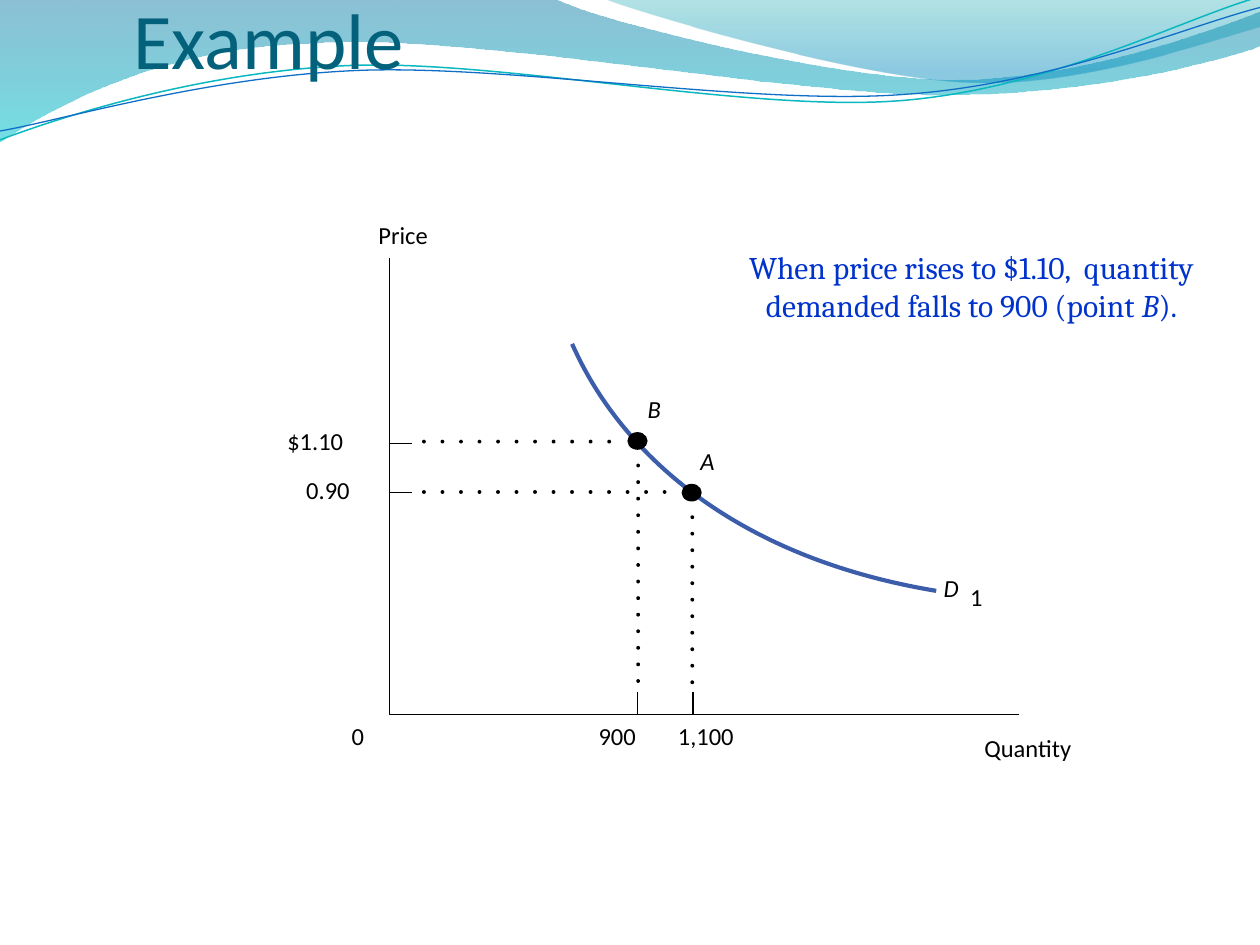
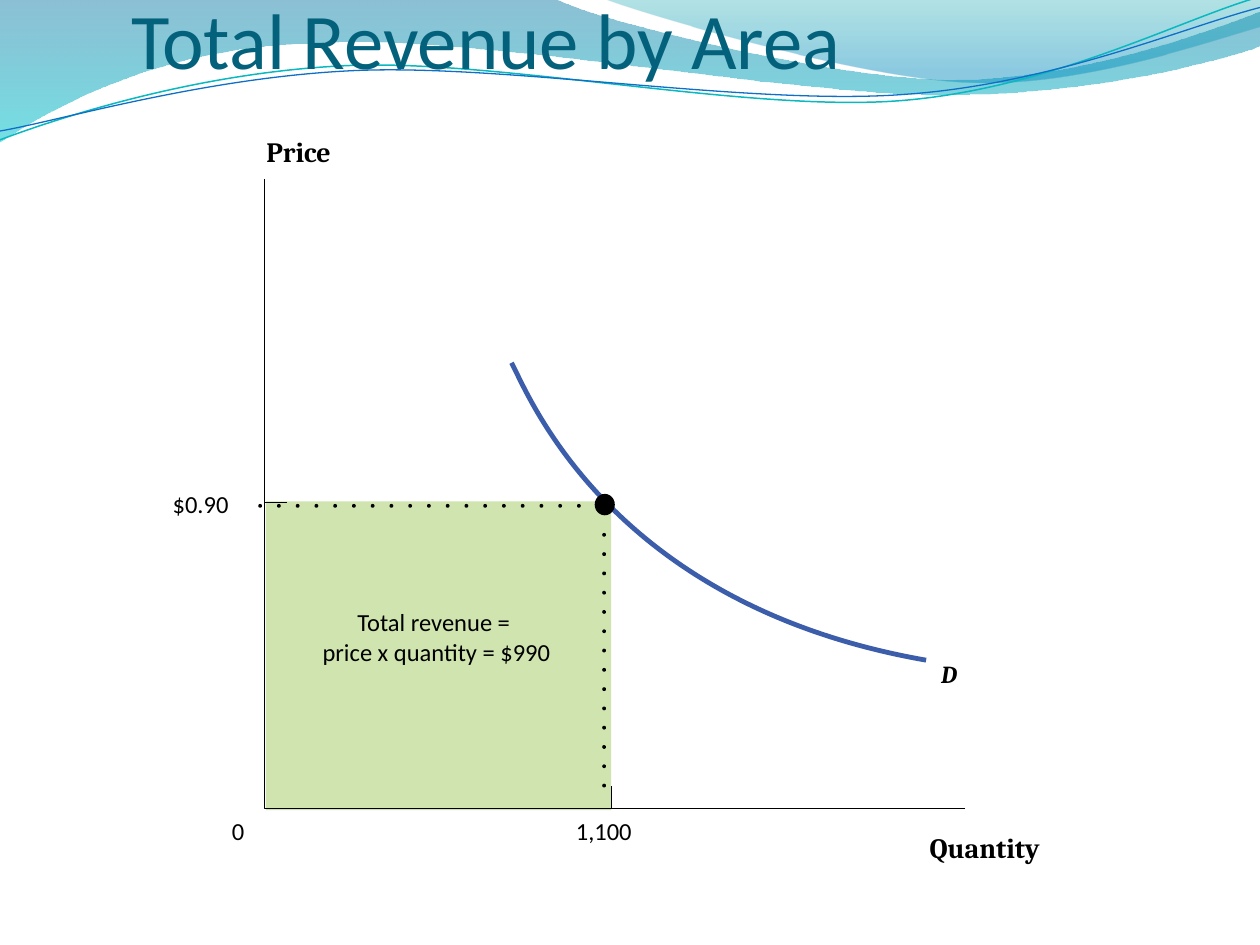
from math import cos, radians, sin

from lxml import etree
from pptx import Presentation
from pptx.dml.color import RGBColor
from pptx.enum.shapes import MSO_CONNECTOR, MSO_SHAPE
from pptx.enum.text import MSO_ANCHOR, MSO_AUTO_SIZE, PP_ALIGN
from pptx.oxml.ns import qn
from pptx.util import Inches, Pt

STRAIGHT = MSO_CONNECTOR.STRAIGHT
OVAL, RECT = MSO_SHAPE.OVAL, MSO_SHAPE.RECTANGLE
LEFT, CENTER = PP_ALIGN.LEFT, PP_ALIGN.CENTER
BOTTOM = MSO_ANCHOR.BOTTOM
NO_FIT, GROW = MSO_AUTO_SIZE.NONE, MSO_AUTO_SIZE.SHAPE_TO_FIT_TEXT

COLORS = {
    "title": "04617B",
    "ink": "000000",
    "demand": "3C5DAA",
    "note": "0033CC",
    "revenue": "CFE4AE",
    "teal_line": "0AB8BF",
    "blue_line": "0F6FC6",
    "band_blue": "0074A1",
    "band_aqua": "00C6CF",
    "crest_teal": "00A1A9",
    "crest_blue": "008BBF",
}
SANS, SERIF = "Calibri", "Cambria"
DOT = 0.03
AXIS_WIDTH = 0.63
WAVE_TILT = 2.7

BANDS = [
    ((0, 0),
     [("L", [(4.4, -0.01)]),
      ("C", [(4.76, 0.17), (6.64, 0.63), (7.58, 0.63),
             (8.53, 0.63), (9.58, 0.26), (10, 0.09)]),
      ("L", [(10.01, 0.36)]),
      ("C", [(9.83, 0.44), (8.7, 0.76), (7.46, 0.75),
             (6.22, 0.75), (3.82, 0.28), (2.57, 0.34),
             (1.29, 0.36), (0.46, 0.83), (-0.01, 1.13)]),
      ("L", [(0, 0)])],
     [(0, "band_blue", 45), (1, "band_aqua", 55)]),
    ((4.79, -0.01),
     [("C", [(5.09, 0.11), (6.82, 0.62), (7.69, 0.65),
             (8.56, 0.69), (9.61, 0.32), (10, 0.21)]),
      ("L", [(10, 0), (4.79, -0.01)])],
     [(0, "crest_teal", 30), (0.8, "crest_blue", 45)]),
]
WAVES = [
    ([(0, 1.11), (0.48, 0.93), (1.58, 0.57), (2.77, 0.52),
      (3.95, 0.47), (5.93, 0.89), (7.13, 0.8),
      (8.33, 0.71), (9.38, 0.15), (9.98, -0.02)], (4.99, 0.57), "teal_line", 0.85),
    ([(0, 1.04), (0.47, 0.96), (1.64, 0.61), (2.83, 0.56),
      (4.03, 0.51), (5.97, 0.84), (7.17, 0.75),
      (8.36, 0.67), (9.41, 0.21), (10, 0.06)], (5, 0.59), "blue_line", 0.75),
]


def rgb(name):
    return RGBColor.from_string(COLORS[name])


def add_path(shapes, start, segments, close=False):
    points = [pt for _, pts in segments for pt in pts]
    builder = shapes.build_freeform(Inches(start[0]), Inches(start[1]))
    builder.add_line_segments([(Inches(x), Inches(y)) for x, y in points], close=close)
    sp = builder.convert_to_shape()
    sp.shadow.inherit = False
    steps = list(sp.element.iter(qn("a:lnTo")))
    for kind, pts in segments:
        run, steps = steps[:len(pts)], steps[len(pts):]
        if kind == "C":
            for i in range(0, len(run), 3):
                curve = etree.Element(qn("a:cubicBezTo"))
                run[i].addprevious(curve)
                for step in run[i:i + 3]:
                    curve.append(step[0])
                    step.getparent().remove(step)
    return sp


def add_outline(shapes, kind, points, color, width):
    sp = add_path(shapes, points[0], [(kind, points[1:])])
    sp.fill.background()
    sp.line.color.rgb = rgb(color)
    sp.line.width = Pt(width)
    return sp


def add_band(shapes, start, segments, stops):
    sp = add_path(shapes, start, segments, close=True)
    sp.line.fill.background()
    sp.fill.gradient()
    sp.fill.gradient_angle = 270
    for stop, (position, color, _) in zip(sp.fill.gradient_stops, stops):
        stop.position = position
        stop.color.rgb = rgb(color)
    for clr, (_, _, alpha) in zip(sp.element.spPr.iter(qn("a:srgbClr")), stops):
        etree.SubElement(clr, qn("a:alpha")).set("val", str(alpha * 1000))
    return sp


def add_wave(shapes, points, center, color, width):
    cx, cy = center
    c, s = cos(radians(WAVE_TILT)), sin(radians(WAVE_TILT))
    level = [(cx + (x - cx) * c - (y - cy) * s, cy + (x - cx) * s + (y - cy) * c)
             for x, y in points]
    sp = add_outline(shapes, "C", level, color, width)
    sp.rotation = 360 - WAVE_TILT
    return sp


def decorate_layout(layout, slide):
    parts = [add_band(slide.shapes, *band) for band in BANDS]
    parts += [add_wave(slide.shapes, *wave) for wave in WAVES]
    for i, sp in enumerate(parts):
        next(sp.element.iter(qn("p:cNvPr"))).set("id", str(20 + i))
        layout.shapes.element.insert(2 + i, sp.element)


def add_run(p, text, size, font=SANS, color="ink", bold=False, italic=False):
    r = p.add_run()
    r.text = text
    r.font.size = Pt(size)
    r.font.name = font
    r.font.bold = bold
    r.font.italic = italic
    r.font.color.rgb = rgb(color)


def set_title(slide, text, left, width):
    title = slide.shapes.title
    title.left, title.top = Inches(left), Inches(0.07)
    title.width, title.height = Inches(width), Inches(0.61)
    tf = title.text_frame
    tf.auto_size = NO_FIT
    tf.vertical_anchor = BOTTOM
    tf.margin_left = tf.margin_right = tf.margin_bottom = 0
    tf.margin_top = Inches(0.05)
    p = tf.paragraphs[0]
    p.alignment = LEFT
    add_run(p, text, 45, color="title")


def add_note(slide, box):
    tb = slide.shapes.add_textbox(*map(Inches, box))
    tf = tb.text_frame
    tf.word_wrap = True
    tf.auto_size = GROW
    p = tf.paragraphs[0]
    p.alignment = CENTER
    parts = [("When price rises to $1.10,  quantity demanded falls to 900 (point ", False),
             ("B", True), (").", False)]
    for text, italic in parts:
        add_run(p, text, 18, SERIF, "note", italic=italic)


class Plot:
    def __init__(self, slide, box):
        self.slide = slide
        self.left, self.top, self.width, self.height = box
        self.start_group()

    def start_group(self):
        self.shapes = self.slide.shapes.add_group_shape().shapes

    def at(self, x, y):
        return self.left + x, self.top + y

    def label(self, lines, x, y, w, h=0.24, size=14, wrap=False, **style):
        tb = self.shapes.add_textbox(*map(Inches, (*self.at(x, y), w, h)))
        tf = tb.text_frame
        tf.word_wrap = wrap
        tf.auto_size = GROW
        tf.margin_left = tf.margin_top = tf.margin_right = tf.margin_bottom = 0
        p = tf.paragraphs[0]
        p.alignment = CENTER if wrap else LEFT
        for i, line in enumerate(lines.split("\n")):
            if i:
                p.add_line_break()
            add_run(p, line, size, **style)

    def solid(self, kind, x, y, w, h, color="ink"):
        sp = self.shapes.add_shape(kind, *map(Inches, (*self.at(x, y), w, h)))
        sp.shadow.inherit = False
        sp.fill.solid()
        sp.fill.fore_color.rgb = rgb(color)
        sp.line.fill.background()

    def line(self, x1, y1, x2, y2):
        ends = map(Inches, (*self.at(x1, y1), *self.at(x2, y2)))
        c = self.shapes.add_connector(STRAIGHT, *ends)
        c.line.color.rgb = rgb("ink")
        c.line.width = Pt(AXIS_WIDTH)
        etree.SubElement(c.element.spPr, qn("a:effectLst"))

    def axes(self, prices, quantities, tick):
        for y in prices:
            self.line(0, y, tick, y)
        for x in quantities:
            self.line(x, self.height - tick, x, self.height)
        corners = [(self.width, self.height), (0, self.height), (0, 0)]
        add_outline(self.shapes, "L", [self.at(*c) for c in corners], "ink", AXIS_WIDTH)

    def demand(self, points, width):
        add_outline(self.shapes, "C", [self.at(*pt) for pt in points], "demand", width)

    def guides(self, row, column, marker):
        y, first, last, count = row
        for i in range(count):
            self.solid(OVAL, first + i * (last - first) / (count - 1), y, DOT, DOT)
        x, first, last, count = column
        for i in range(count):
            self.solid(OVAL, x, first + i * (last - first) / (count - 1), DOT, DOT)
        self.solid(OVAL, *marker)


def draw_price_rise(slide, box):
    plot = Plot(slide, box)
    plot.demand([(1.45, 0.68), (1.55, 0.89), (2.12, 2.27), (4.34, 2.64)], 2.38)
    plot.label("D", 4.4, 2.5, 0.14, italic=True)
    plot.label("1", 4.59, 2.57, 0.14, wrap=True)
    plot.start_group()
    for text, x, y, w in [("900", 1.66, 3.67, 0.32), ("1,100", 2.29, 3.67, 0.48),
                          ("0", -0.3, 3.67, 0.11), ("$1.10", -0.81, 1.33, 0.48),
                          ("0.90", -0.66, 1.72, 0.38)]:
        plot.label(text, x, y, w, 0.19)
    plot.axes([1.47, 1.86], [2.41, 1.97], 0.18)
    plot.label("Price", -0.92, -0.3, 2.06, wrap=True)
    plot.label("Quantity ", 4.02, 3.77, 2.14, wrap=True)
    plot.start_group()
    plot.label("A", 2.47, 1.49, 0.13, italic=True)
    plot.guides((1.84, 0.26, 2.17, 14), (2.39, 2.04, 3.35, 11), (2.32, 1.79, 0.16, 0.14))
    plot.start_group()
    plot.label("B", 2.05, 1.08, 0.13, italic=True)
    plot.guides((1.44, 0.26, 1.73, 11), (1.96, 1.63, 3.34, 14), (1.89, 1.38, 0.16, 0.14))


def draw_revenue_area(slide, box):
    plot = Plot(slide, box)
    plot.demand([(1.96, 1.46), (2.09, 1.7), (2.73, 3.38), (5.25, 3.82)], 2.75)
    plot.label("D", 5.37, 3.81, 0.13, font=SERIF, bold=True, italic=True)
    plot.start_group()
    plot.solid(RECT, 0.01, 2.56, 2.74, 2.45, "revenue")
    plot.label("Total revenue = \nprice x quantity = $990", 0.25, 3.4, 2.23, 0.47, wrap=True)
    plot.start_group()
    plot.axes([2.57], [2.75], 0.18)
    for text, x, y, w in [("1,100", 2.47, 5.06, 0.48), ("0", -0.26, 5.06, 0.11),
                          ("$0.90", -0.73, 2.46, 0.48)]:
        plot.label(text, x, y, w, 0.21)
    for text, x, y, w in [("Price ", -0.87, -0.35, 2.33), ("Quantity ", 4.17, 5.17, 3.14)]:
        plot.label(text, x, y, w, 0.27, size=16, wrap=True, font=SERIF, bold=True)
    plot.start_group()
    plot.guides((2.58, -0.05, 2.48, 18), (2.68, 2.81, 4.8, 14), (2.62, 2.5, 0.16, 0.17))


def main():
    prs = Presentation()
    prs.slide_width, prs.slide_height = Inches(10), Inches(7.5)
    layout = prs.slide_layouts[5]

    slide = prs.slides.add_slide(layout)
    decorate_layout(layout, slide)
    set_title(slide, "Example", 1.06, 8.74)
    draw_price_rise(slide, (3.09, 2.05, 5, 3.62))
    add_note(slide, (5.67, 1.92, 4.08, 0.71))

    slide = prs.slides.add_slide(layout)
    set_title(slide, "Total Revenue by Area", 1.04, 8.68)
    draw_revenue_area(slide, (2.1, 1.42, 5.56, 5))

    prs.save("out.pptx")


if __name__ == "__main__":
    main()
